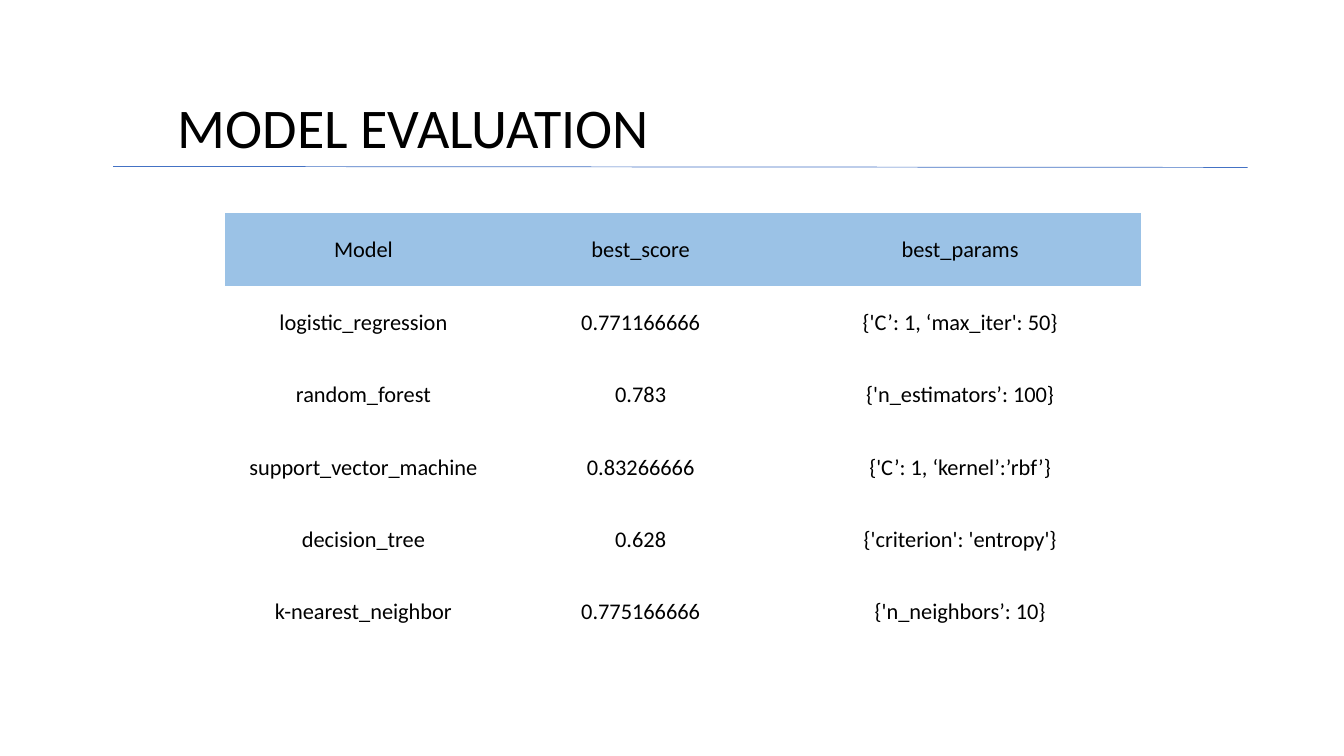
from lxml.etree import SubElement
from pptx import Presentation
from pptx.dml.color import RGBColor
from pptx.enum.shapes import MSO_CONNECTOR as LINK
from pptx.enum.text import MSO_ANCHOR as ANCHOR, PP_ALIGN as ALIGN
from pptx.oxml.ns import qn
from pptx.util import Pt

BLACK = RGBColor(0x00, 0x00, 0x00)
BLUE = RGBColor(0x44, 0x72, 0xC4)
SKY = RGBColor(0x9B, 0xC2, 0xE6)
PLAIN = "{2D5ABB26-0587-4C30-8999-92F81FD0307C}"

ROWS = [
    ("Model", "best_score", "best_params"),
    ("logistic_regression", "0.771166666", "{'C’: 1, ‘max_iter': 50}"),
    ("random_forest", "0.783", "{'n_estimators’: 100}"),
    ("support_vector_machine", "0.83266666", "{'C’: 1, ‘kernel’:’rbf’}"),
    ("decision_tree", "0.628", "{'criterion': 'entropy'}"),
    ("k-nearest_neighbor", "0.775166666", "{'n_neighbors’: 10}"),
]
WIDTHS = (198, 198, 258.5)
HEIGHT = 51.75
CELL = {
    "vertical_anchor": ANCHOR.MIDDLE,
    "margin_left": Pt(0.75),
    "margin_right": Pt(0.75),
    "margin_top": Pt(0.75),
    "margin_bottom": Pt(0),
}


def style(item, values):
    for name, value in values.items():
        setattr(item, name, value)


def write(para, text, size):
    run = para.add_run()
    run.text = text
    style(run.font, {"name": "Calibri", "size": Pt(size)})
    run.font.color.rgb = BLACK


deck = Presentation()
style(deck, {"slide_width": Pt(960), "slide_height": Pt(540)})
slide = deck.slides.add_slide(deck.slide_layouts[6])
shapes = slide.shapes

title = shapes.add_textbox(Pt(120), Pt(44.6), Pt(720), Pt(73.4)).text_frame
style(title, {"word_wrap": True, "vertical_anchor": ANCHOR.BOTTOM})
head = title.paragraphs[0]
head.line_spacing = 0.9
write(head, "MODEL EVALUATION", 40)

rule = shapes.add_connector(LINK.STRAIGHT, Pt(80.8), Pt(118.9), Pt(891.2), Pt(119.6))
rule.line.color.rgb = BLUE
rule.line.width = Pt(0.5)
SubElement(rule._element.spPr, qn("a:effectLst"))

frame = shapes.add_table(
    len(ROWS), len(WIDTHS), Pt(160.6), Pt(152.4), Pt(sum(WIDTHS)), Pt(HEIGHT * len(ROWS))
)
table = frame.table
style(table, {"first_row": False, "horz_banding": False})
table._tbl.tblPr.find(qn("a:tableStyleId")).text = PLAIN
for col, width in zip(table.columns, WIDTHS):
    col.width = Pt(width)

for i, texts in enumerate(ROWS):
    table.rows[i].height = Pt(HEIGHT)
    for j, text in enumerate(texts):
        cell = table.cell(i, j)
        style(cell, CELL)
        if i == 0:
            cell.fill.solid()
            cell.fill.fore_color.rgb = SKY
        else:
            cell.fill.background()
        para = cell.text_frame.paragraphs[0]
        para.alignment = ALIGN.CENTER
        write(para, text, 16)

deck.save("out.pptx")
